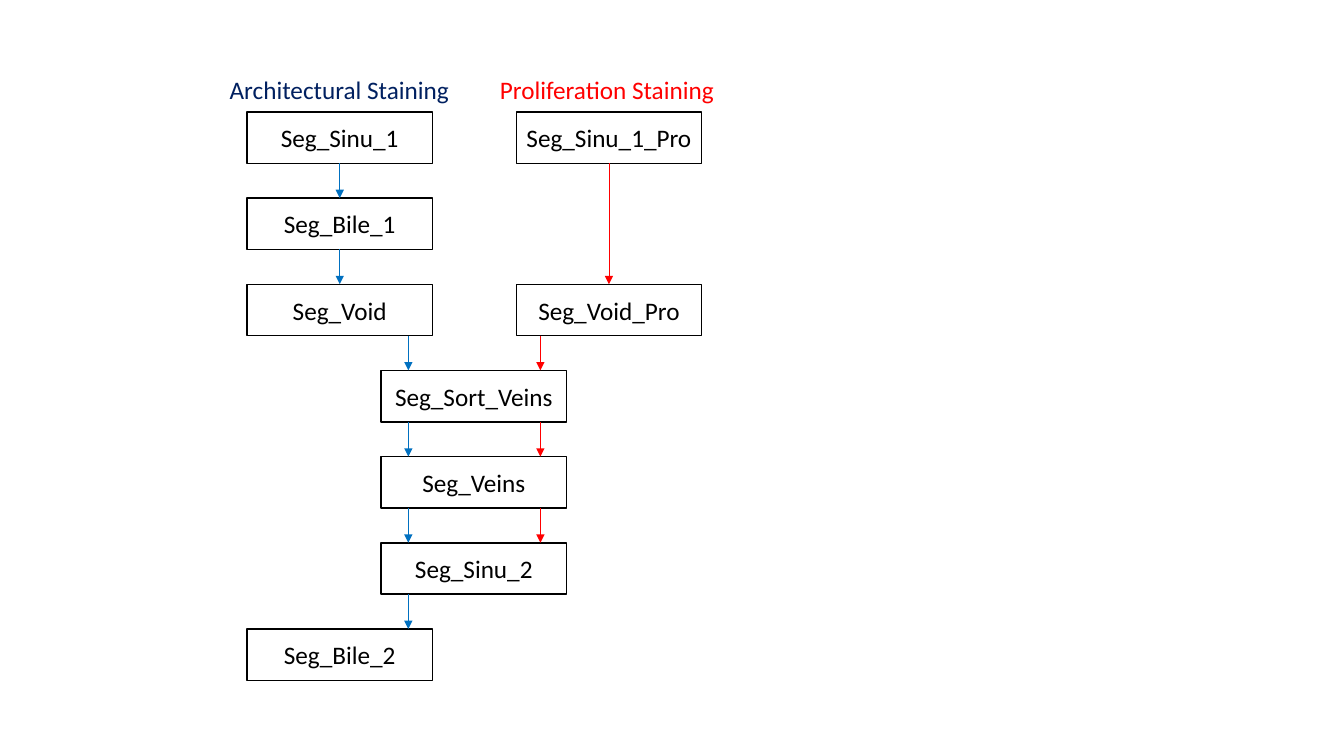
from dataclasses import dataclass

from pptx import Presentation
from pptx.dml.color import RGBColor
from pptx.enum.shapes import MSO_CONNECTOR, MSO_SHAPE
from pptx.enum.text import MSO_ANCHOR, PP_ALIGN
from pptx.oxml.ns import qn
from pptx.slide import Slide
from pptx.text.text import TextFrame
from pptx.util import Inches, Pt
from lxml.etree import SubElement


@dataclass(frozen=True)
class Theme:
    font: str = "Calibri"
    text_size: float = 18
    box_line: float = 1
    arrow_line: float = 0.5
    black: str = "000000"
    navy: str = "002060"
    blue: str = "0070C0"
    red: str = "FF0000"


@dataclass(frozen=True)
class Heading:
    text: str
    left: float
    width: float
    color: str


@dataclass(frozen=True)
class Step:
    text: str
    left: float
    row: int


@dataclass(frozen=True)
class Arrow:
    x: float
    from_row: int
    to_row: int
    color: str


THEME = Theme()

# Flowchart grid: three columns, seven evenly spaced rows
BOX_WIDTH, BOX_HEIGHT = 1.84, 0.51
ARCHITECTURE, SHARED, PROLIFERATION = 2.45, 3.78, 5.12
FIRST_TOP, LAST_TOP, LAST_ROW = 1.11, 6.24, 6
ROW_PITCH = (LAST_TOP - FIRST_TOP) / LAST_ROW
BLUE_LANE, RED_LANE = 4.05, 5.36

HEADINGS = [
    Heading("Architectural Staining", 2.18, 2.4, THEME.navy),
    Heading("Proliferation Staining", 4.86, 2.35, THEME.red),
]
STEPS = [
    Step("Seg_Sinu_1", ARCHITECTURE, 0),
    Step("Seg_Bile_1", ARCHITECTURE, 1),
    Step("Seg_Void", ARCHITECTURE, 2),
    Step("Seg_Sinu_1_Pro", PROLIFERATION, 0),
    Step("Seg_Void_Pro", PROLIFERATION, 2),
    Step("Seg_Sort_Veins", SHARED, 3),
    Step("Seg_Veins", SHARED, 4),
    Step("Seg_Sinu_2", SHARED, 5),
    Step("Seg_Bile_2", ARCHITECTURE, 6),
]
ARROWS = [
    *(Arrow(ARCHITECTURE + BOX_WIDTH / 2, row, row + 1, THEME.blue) for row in range(2)),
    *(Arrow(BLUE_LANE, row, row + 1, THEME.blue) for row in range(2, 6)),
    Arrow(PROLIFERATION + BOX_WIDTH / 2, 0, 2, THEME.red),
    *(Arrow(RED_LANE, row, row + 1, THEME.red) for row in range(2, 5)),
]


def row_top(row: int) -> float:
    return FIRST_TOP + row * ROW_PITCH


def write_text(frame: TextFrame, text: str, *, color: str = THEME.black,
               align: PP_ALIGN = PP_ALIGN.LEFT, anchor: MSO_ANCHOR = MSO_ANCHOR.TOP,
               wrap: bool = False) -> None:
    frame.word_wrap = wrap
    frame.vertical_anchor = anchor
    paragraph = frame.paragraphs[0]
    paragraph.alignment = align
    run = paragraph.add_run()
    run.text = text
    run.font.name = THEME.font
    run.font.size = Pt(THEME.text_size)
    run.font.color.rgb = RGBColor.from_string(color)


def draw_heading(slide: Slide, heading: Heading) -> None:
    box = slide.shapes.add_textbox(Inches(heading.left), Inches(0.69),
                                   Inches(heading.width), Inches(0.4))
    write_text(box.text_frame, heading.text, color=heading.color)


def draw_step(slide: Slide, step: Step) -> None:
    shape = slide.shapes.add_shape(MSO_SHAPE.RECTANGLE, Inches(step.left),
                                   Inches(row_top(step.row)),
                                   Inches(BOX_WIDTH), Inches(BOX_HEIGHT))
    shape.shadow.inherit = False
    shape.fill.background()
    shape.line.color.rgb = RGBColor.from_string(THEME.black)
    shape.line.width = Pt(THEME.box_line)
    frame = shape.text_frame
    frame.margin_left = frame.margin_right = Inches(0.05)
    write_text(frame, step.text, align=PP_ALIGN.CENTER,
               anchor=MSO_ANCHOR.MIDDLE, wrap=True)


def draw_arrow(slide: Slide, arrow: Arrow) -> None:
    x = Inches(arrow.x)
    connector = slide.shapes.add_connector(
        MSO_CONNECTOR.STRAIGHT, x, Inches(row_top(arrow.from_row) + BOX_HEIGHT),
        x, Inches(row_top(arrow.to_row)))
    connector.line.color.rgb = RGBColor.from_string(arrow.color)
    connector.line.width = Pt(THEME.arrow_line)
    properties = connector.element.spPr
    SubElement(properties.find(qn("a:ln")), qn("a:tailEnd"), type="triangle")
    SubElement(properties, qn("a:effectLst"))


def main() -> None:
    presentation = Presentation()
    presentation.slide_width = Inches(13.33)
    presentation.slide_height = Inches(7.5)
    slide = presentation.slides.add_slide(presentation.slide_layouts[6])

    # Segmentation steps
    for step in STEPS:
        draw_step(slide, step)

    # Flow between steps
    for arrow in ARROWS:
        draw_arrow(slide, arrow)

    # Column headings
    for heading in HEADINGS:
        draw_heading(slide, heading)

    presentation.save("out.pptx")


main()
